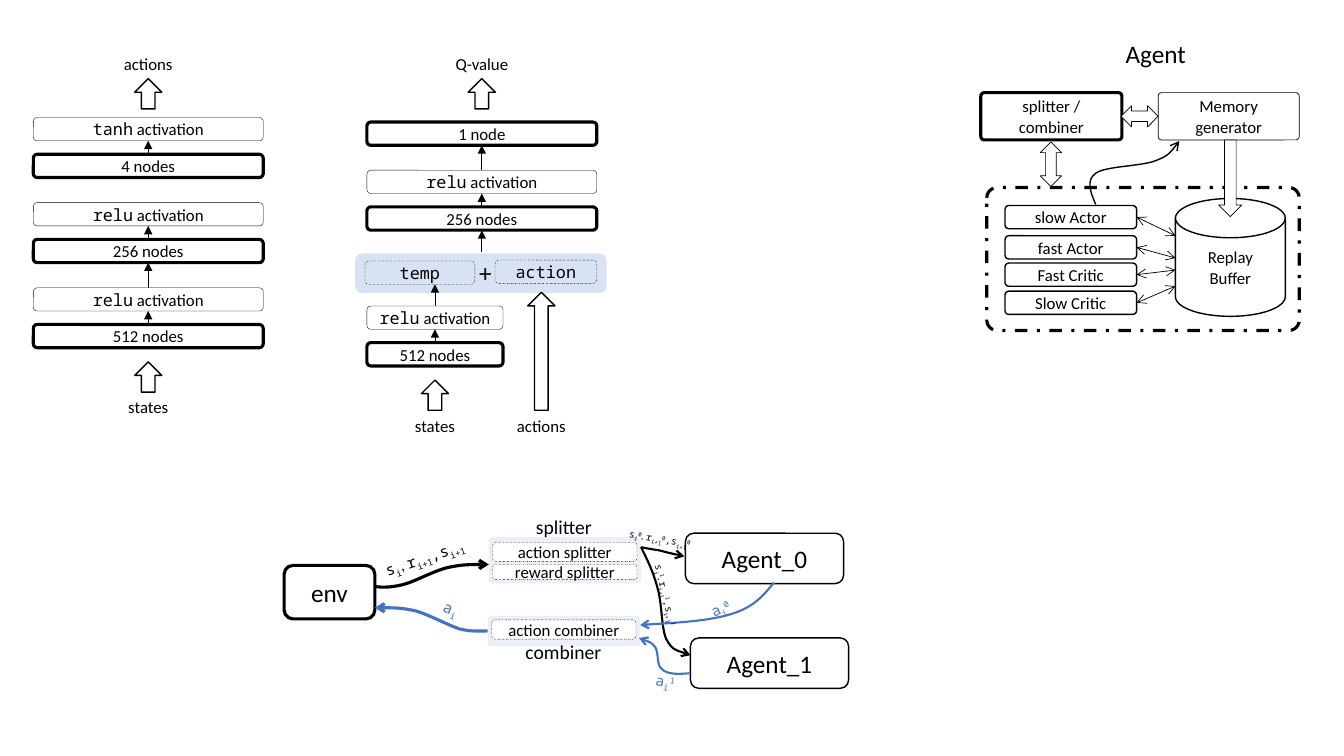
from pptx import Presentation
from pptx.dml.color import RGBColor
from pptx.enum.dml import MSO_LINE
from pptx.enum.shapes import MSO_CONNECTOR, MSO_SHAPE
from pptx.enum.text import MSO_AUTO_SIZE, PP_ALIGN
from pptx.oxml.ns import qn
from pptx.util import Pt
from lxml import etree

ROUND, DISK = MSO_SHAPE.ROUNDED_RECTANGLE, MSO_SHAPE.FLOWCHART_MAGNETIC_DISK
UP, UP_DOWN = MSO_SHAPE.UP_ARROW, MSO_SHAPE.UP_DOWN_ARROW
STRAIGHT, DASH_DOT = MSO_CONNECTOR.STRAIGHT, MSO_LINE.DASH_DOT
CENTER, FIT = PP_ALIGN.CENTER, MSO_AUTO_SIZE.SHAPE_TO_FIT_TEXT
SANS, MONO = "Calibri", "Noto Sans Mono"
BLACK, WHITE, BLUE, PALE = "000000", "FFFFFF", "4472C4", "DAE3F3"
ROW, RISE = 16.6, 26.2  # height of a layer box, step from nodes up to activation

def paint(fill, hex_string):
    if hex_string:
        fill.solid()
        fill.fore_color.rgb = RGBColor.from_string(hex_string)
    else:
        fill.background()

def plain(text, font=SANS):
    return [(text, font, 0)]

def indexed(letter, index, power=""):
    spans = [(letter, MONO, 0), (index, MONO, -25)]
    return spans + [(power, MONO, 30)] if power else spans

def transition(power=""):
    """State, reward and next state, as passed to an agent."""
    return (indexed("s", "i", power) + plain(", ")
            + indexed("r", "i+1", power) + indexed(",s", "i+1", power))

def write(frame, spans, size, ink=BLACK):
    para = frame.paragraphs[0]
    para.alignment = CENTER
    for text, font, shift in spans:
        span = para.add_run()
        span.text, span.font.name, span.font.size = text, font, Pt(size)
        paint(span.font.fill, ink)
        if shift:
            span.font._element.set("baseline", str(shift * 1000))

def shape(page, kind, box, spans=(), fill=None, line=BLACK, weight=1.0, dash=None,
          size=12, inset=0, adjust=None, turn=0, opacity=None):
    item = page.shapes.add_shape(kind, *map(Pt, box))
    item.shadow.inherit = False
    item.rotation = turn
    if adjust is not None:
        item.adjustments[0] = adjust
    paint(item.fill, fill)
    if opacity:
        tint = item.element.spPr.find(".//" + qn("a:srgbClr"))
        etree.SubElement(tint, qn("a:alpha"), val=str(opacity * 1000))
    paint(item.line.fill, line)
    item.line.width = Pt(weight)
    item.line.dash_style = dash
    if spans:
        item.text_frame.margin_left = item.text_frame.margin_right = Pt(inset)
        write(item.text_frame, spans, size)

def label(page, box, spans, size=12, ink=BLACK, turn=0):
    item = page.shapes.add_textbox(*map(Pt, box))
    item.rotation = turn
    item.text_frame.word_wrap, item.text_frame.auto_size = False, FIT
    write(item.text_frame, spans, size, ink)

def style_line(item, ink, weight, head, tail):
    paint(item.line.fill, ink)
    item.line.width = Pt(weight)
    for tag, kind in (("a:headEnd", head), ("a:tailEnd", tail)):
        if kind:
            etree.SubElement(item.element.spPr.find(qn("a:ln")), qn(tag), type=kind)

def arrow(page, x1, y1, x2, y2, head=None, tail="triangle"):
    item = page.shapes.add_connector(STRAIGHT, Pt(x1), Pt(y1), Pt(x2), Pt(y2))
    style_line(item, BLACK, 0.5, head, tail)
    etree.SubElement(item.element.spPr, qn("a:effectLst"))

def curve(page, left, top, points, ink=BLACK, weight=1.5):
    """Arrow along cubic curves: a start, then three points for each curve."""
    start, *rest = [(Pt(left + x), Pt(top + y)) for x, y in points]
    builder = page.shapes.build_freeform(*start)
    builder.add_line_segments(rest, close=False)
    item = builder.convert_to_shape()
    item.shadow.inherit = False
    paint(item.fill, None)
    style_line(item, ink, weight, None, "arrow")
    route = item.element.spPr.find(".//" + qn("a:path"))
    steps = route.findall(qn("a:lnTo"))
    for first in range(0, len(steps), 3):
        bend = etree.SubElement(route, qn("a:cubicBezTo"))
        for step in steps[first:first + 3]:
            bend.append(step[0])
            route.remove(step)

def layer(page, left, top, width, nodes, activation=None):
    shape(page, ROUND, (left, top, width, ROW), plain(nodes), weight=2.25)
    if activation:
        shape(page, ROUND, (left, top - RISE, width, ROW),
              plain(activation, MONO) + plain(" activation"), weight=0.25)
        arrow(page, left + width / 2, top, left + width / 2, top - RISE + ROW)

def port(page, middle, arrow_top, label_top, text, height=21.6):
    """A block arrow with the name of an input or output."""
    shape(page, UP, (middle - 9.7, arrow_top, 19.4, height))
    label(page, (middle - 35, label_top, 70, 21.6), plain(text))

def actor_network(page, left, top, width=164.2):
    middle = left + width / 2
    layers = (("512 nodes", "relu"), ("256 nodes", "relu"), ("4 nodes", "tanh"))
    for index, (nodes, activation) in enumerate(layers):
        layer(page, left, top + 197.2 - 60.8 * index, width, nodes, activation)
    arrow(page, middle, top + 171, middle, top + 136.4 + ROW)
    port(page, middle, top + 21.6, top, "actions")
    port(page, middle, top + 223.9, top + 245.5, "states")

def critic_network(page, left, top):
    middle, states, actions = left + 90, left + 56.5, left + 132.5
    shape(page, ROUND, (left, top + 146.9, 178.6, 27.4), fill=BLUE, opacity=20, line=PALE)
    layer(page, left + 7.9, top + 210.2, 97.2, "512 nodes", "relu")
    layer(page, left + 7.9, top + 113.2, 164.2, "256 nodes", "relu")
    layer(page, left + 7.9, top + 52.6, 164.2, "1 node")
    port(page, middle, top + 21.6, top, "Q-value")
    port(page, states, top + 236.9, top + 258.5, "states")
    port(page, actions, top + 174.2, top + 258.5, "actions", 84.3)
    for x, y, width, text in ((6.5, 151.9, 78.5, "temp"), (99.4, 151.2, 72.7, "action")):
        box = (left + x, top + y, width, ROW)
        shape(page, ROUND, box, plain(text, MONO), weight=0.25, dash=DASH_DOT)
    label(page, (left + 80.6, top + 145.4, 23.8, 28.8), plain("+"), 18)
    for x, start, end in ((middle, 145.4, 130), (states, 184, 168.5), (middle, 87, 69.2)):
        arrow(page, x, top + start, x, top + end)

def agent_detail(page, left, top):
    rows = (("slow Actor", 123, 144.6), ("fast Actor", 144.6, 160.5),
            ("Fast Critic", 164.1, 169.1), ("Slow Critic", 184.2, 180.6))
    shape(page, DISK, (left + 139, top + 118, 78.5, 84.2), plain("Replay Buffer"), inset=7.2)
    for text, y, target in rows:
        shape(page, ROUND, (left + 17.3, top + y, 94, ROW), plain(text))
        arrow(page, left + 111.3, top + y + ROW / 2, left + 139, top + target, "arrow", "arrow")
    shape(page, ROUND, (left + 4.3, top + 110.1, 223.2, 102.2), weight=2.25, dash=DASH_DOT,
          adjust=0.073)
    for x, text, weight in ((0, "splitter / combiner", 2.25), (126.7, "Memory generator", 0.5)):
        shape(page, ROUND, (left + x, top + 42.4, 100.8, 33.8), plain(text), weight=weight,
              adjust=0.073, inset=7.2)
    for kind, x, y, width, height, turn in ((UP_DOWN, 42.5, 77.7, 15.1, 31.7, 0),
                                            (UP, 169.9, 76.2, 16.6, 54.7, 180),
                                            (UP_DOWN, 105.8, 46, 15.1, 26.6, 90)):
        shape(page, kind, (left + x, top + y, width, height), fill=WHITE, weight=0.5, turn=turn)
    curve(page, left, top, [(82.1, 122.3), (78.5, 113.7), (74.9, 105), (82.1, 100), (88.6, 95),
                            (113.8, 95), (123.8, 91.4), (133.9, 87.8), (138.2, 82), (141.8, 77)],
          weight=1)
    label(page, (left + 95.8, top, 58.3, 28.8), plain("Agent"), 18)

def agent_loop(page, left, top):
    for x, y, height in ((145.4, 75.6, 21.6), (146.2, 19.4, 33.1)):
        shape(page, ROUND, (left + x, top + y, 108.7, height), fill=BLUE, opacity=10,
              line=None, adjust=0.09)
    for text, x, y, width, height, weight, size, dash in (
            ("Agent_0", 286.6, 16.6, 113, 36, 1, 18, None),
            ("Agent_1", 290.2, 91.4, 113, 36, 1, 18, None),
            ("env", 0, 39.6, 64.8, 38.2, 2.25, 18, None),
            ("action splitter", 149, 23, 103, 13.7, 0.25, 12, DASH_DOT),
            ("reward splitter", 149, 38.9, 103, 10.8, 0.25, 12, DASH_DOT),
            ("action combiner", 148.3, 78.5, 103, 13.7, 0.25, 12, DASH_DOT)):
        shape(page, ROUND, (left + x, top + y, width, height), plain(text), fill=WHITE,
              weight=weight, size=size, dash=dash)
    for ink, weight, points in (
            (BLACK, 2.25, [(64.8, 54.7), (70.6, 55.4), (76.3, 55.4), (85, 53.3), (93.6, 51.1),
                           (107.3, 43.2), (117.4, 41), (127.4, 38.9), (136.8, 38.9), (146.2, 38.9)]),
            (BLUE, 2.25, [(145.4, 86.4), (139.7, 86.4), (133.9, 87.1), (125.3, 85), (116.6, 82.1),
                          (103.7, 74.9), (93.6, 72), (83.5, 69.8), (74.2, 69.8), (64.8, 69.8)]),
            (BLACK, 1.5, [(254.9, 26.6), (259.2, 27.4), (262.8, 28.1), (267.8, 28.8),
                          (272.9, 30.2), (279.4, 31.7), (285.8, 33.1)]),
            (BLACK, 1.5, [(254.9, 26.6), (259.2, 35.3), (263.5, 43.9), (266.4, 54.7), (270, 66.2),
                          (269.3, 84.2), (272.9, 92.2), (277.2, 100.1), (283.7, 101.5), (290.2, 103.7)]),
            (BLUE, 1.5, [(349.9, 51.8), (342.7, 60.5), (336.2, 69.1), (319.7, 74.2),
                         (303.8, 79.2), (278.6, 80.6), (254.2, 82.1)]),
            (BLUE, 1.5, [(289.4, 116.6), (281.5, 117.4), (273.6, 117.4), (270, 113.8), (265.7, 110.9),
                         (267.8, 102.2), (265, 97.9), (262.1, 94.3), (257.8, 92.9), (253.4, 91.4)])):
        curve(page, left, top, points, ink, weight)
    for x, y, width, height, spans, size, ink, turn in (
            (172.1, 0, 55.4, 24.5, plain("splitter"), 14, BLACK, 0),
            (164.9, 89.3, 69.1, 24.5, plain("combiner"), 14, BLACK, 0),
            (61.4, 23.8, 77.8, 20.9, transition(), 11, BLACK, 341.2),
            (237, 13, 62.6, 15.8, transition("0"), 7, BLACK, 10.3),
            (241.2, 53, 62.6, 15.8, transition("1"), 7, BLACK, 76.6),
            (106, 60, 25.9, 20.9, indexed("a", "i"), 11, BLUE, 20.9),
            (297, 60.5, 29.5, 20.2, indexed("a", "i", "0"), 10.5, BLUE, 335.6),
            (257.5, 112.3, 29.5, 20.2, indexed("a", "i", "1"), 10.5, BLUE, 10.3)):
        label(page, (left + x, top + y, width, height), spans, size, ink, turn)

deck = Presentation()
deck.slide_width, deck.slide_height = Pt(960), Pt(540)
blank_page = deck.slides.add_slide(deck.slide_layouts[6])
actor_network(blank_page, 23.8, 34.6)
critic_network(blank_page, 254.2, 34.6)
agent_detail(blank_page, 700.6, 23.8)
agent_loop(blank_page, 203, 364.3)
deck.save("out.pptx")
